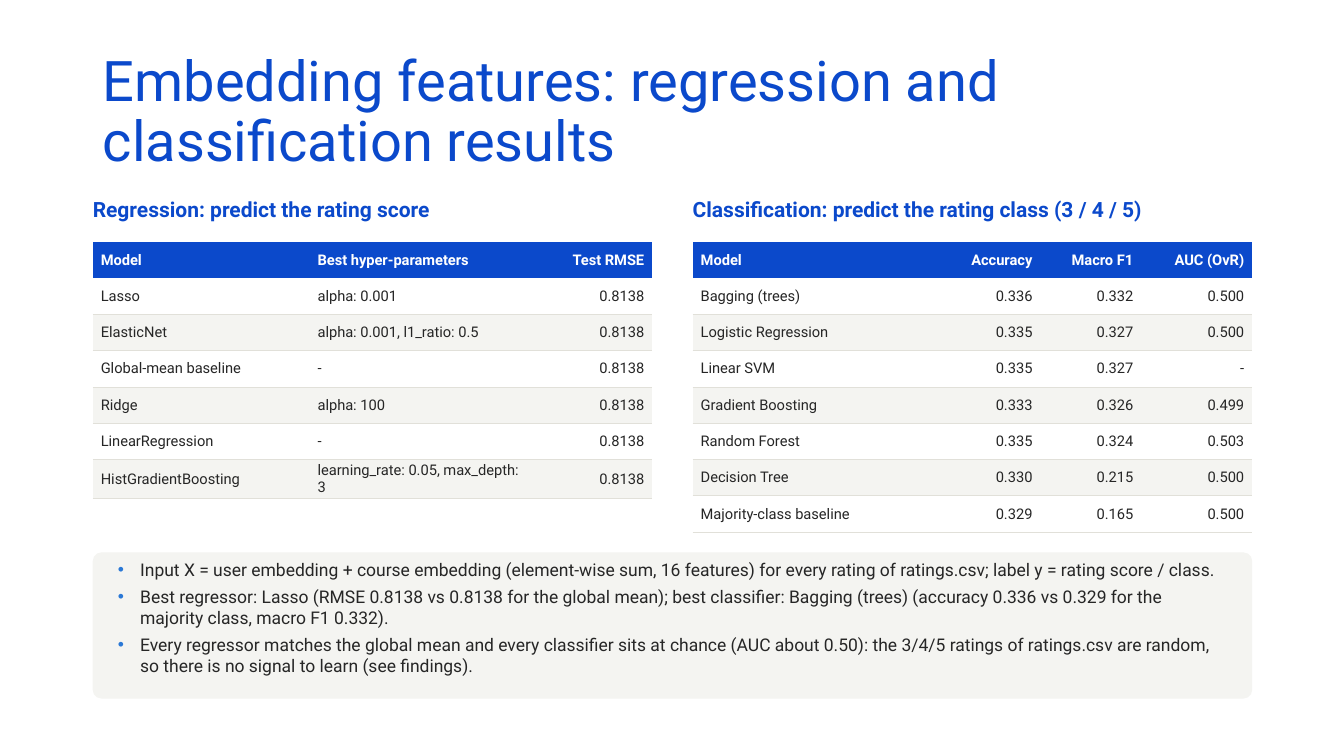
from lxml import etree
from pptx import Presentation
from pptx.dml.color import RGBColor
from pptx.enum import shapes, text
from pptx.oxml import ns
from pptx.util import Inches, Pt

COLORS = {
    "blue": "0B49CB",
    "bullet": "2A78D6",
    "ink": "262626",
    "white": "FFFFFF",
    "band": "F4F4F1",
    "rule": "E1E0D9",
}
FONT = "Roboto"
NO_STYLE = "{2D5ABB26-0587-4C30-8999-92F81FD0307C}"
ROW_H = 0.36
LEFT, RIGHT = text.PP_ALIGN.LEFT, text.PP_ALIGN.RIGHT

REGRESSION = [
    ("Model", "Best hyper-parameters", "Test RMSE"),
    ("Lasso", "alpha: 0.001", "0.8138"),
    ("ElasticNet", "alpha: 0.001, l1_ratio: 0.5", "0.8138"),
    ("Global-mean baseline", "-", "0.8138"),
    ("Ridge", "alpha: 100", "0.8138"),
    ("LinearRegression", "-", "0.8138"),
    ("HistGradientBoosting", "learning_rate: 0.05, max_depth: 3", "0.8138"),
]
CLASSIFICATION = [
    ("Model", "Accuracy", "Macro F1", "AUC (OvR)"),
    ("Bagging (trees)", "0.336", "0.332", "0.500"),
    ("Logistic Regression", "0.335", "0.327", "0.500"),
    ("Linear SVM", "0.335", "0.327", "-"),
    ("Gradient Boosting", "0.333", "0.326", "0.499"),
    ("Random Forest", "0.335", "0.324", "0.503"),
    ("Decision Tree", "0.330", "0.215", "0.500"),
    ("Majority-class baseline", "0.329", "0.165", "0.500"),
]
FINDINGS = [
    "Input X = user embedding + course embedding (element-wise sum, 16 features) for every rating "
    "of ratings.csv; label y = rating score / class.",
    "Best regressor: Lasso (RMSE 0.8138 vs 0.8138 for the global mean); best classifier: Bagging "
    "(trees) (accuracy 0.336 vs 0.329 for the majority class, macro F1 0.332).",
    "Every regressor matches the global mean and every classifier sits at chance (AUC about 0.50): "
    "the 3/4/5 ratings of ratings.csv are random, so there is no signal to learn (see findings).",
]


def rgb(name):
    return RGBColor.from_string(COLORS[name])


def set_all(target, **values):
    for name, value in values.items():
        setattr(target, name, value)


def set_margins(target, x, y):
    set_all(target, margin_left=Inches(x), margin_right=Inches(x),
            margin_top=Inches(y), margin_bottom=Inches(y))


def place(sp, x, y, w, h):
    set_all(sp, left=Inches(x), top=Inches(y), width=Inches(w), height=Inches(h))


def write(p, words, size, color, bold=False, **paragraph_format):
    set_all(p, **paragraph_format)
    r = p.add_run()
    r.text = words
    set_all(r.font, name=FONT, size=Pt(size), bold=bold)
    r.font.color.rgb = rgb(color)


def add_colored(parent, tag, color):
    node = etree.SubElement(parent, ns.qn(tag))
    etree.SubElement(node, ns.qn("a:srgbClr"), val=COLORS[color])


def add_bullet(p):
    pPr = p._p.get_or_add_pPr()
    pPr.set("marL", str(Inches(0.22)))
    pPr.set("indent", str(-Inches(0.22)))
    add_colored(pPr, "a:buClr", "bullet")
    etree.SubElement(pPr, ns.qn("a:buChar"), char="•")


def add_rule_below(cell):
    line = etree.Element(ns.qn("a:lnB"), w=str(Pt(0.75)))
    add_colored(line, "a:solidFill", "rule")
    cell._tc.get_or_add_tcPr().insert(0, line)


def add_title(s, x, y, w, h):
    sp = s.shapes.title
    place(sp, x, y, w, h)
    tf = sp.text_frame
    set_all(tf, word_wrap=True, auto_size=text.MSO_AUTO_SIZE.NONE,
            vertical_anchor=text.MSO_ANCHOR.MIDDLE)
    write(tf.paragraphs[0], "Embedding features: regression and classification results",
          40, "blue", alignment=LEFT, line_spacing=0.9)


def add_results(s, x, y, w, heading, rows, col_widths, first_right_col):
    sp = s.shapes.add_textbox(Inches(x), Inches(y), Inches(w), Inches(0.4))
    tf = sp.text_frame
    tf.word_wrap = True
    set_margins(tf, 0, 0)
    write(tf.paragraphs[0], heading, 15, "blue", bold=True)

    table = s.shapes.add_table(len(rows), len(col_widths), Inches(x), Inches(y + 0.45),
                               Inches(w), Inches(ROW_H * len(rows))).table
    set_all(table, first_row=False, horz_banding=False)
    table._tbl.tblPr.find(ns.qn("a:tableStyleId")).text = NO_STYLE
    for column, width in zip(table.columns, col_widths):
        column.width = Inches(width)
    for i, row in enumerate(rows):
        table.rows[i].height = Inches(ROW_H)
        header = i == 0
        fill = "blue" if header else "white" if i % 2 else "band"
        for j, words in enumerate(row):
            cell = table.cell(i, j)
            set_margins(cell, 0.08, 0.02)
            cell.vertical_anchor = text.MSO_ANCHOR.MIDDLE
            cell.fill.solid()
            cell.fill.fore_color.rgb = rgb(fill)
            if not header:
                add_rule_below(cell)
            write(cell.text_frame.paragraphs[0], words, 10.5, "white" if header else "ink",
                  bold=header, alignment=RIGHT if j >= first_right_col else LEFT)


def add_findings(s, x, y, w, h):
    panel = s.shapes.add_shape(shapes.MSO_SHAPE.ROUNDED_RECTANGLE,
                               Inches(x), Inches(y), Inches(w), Inches(h))
    panel.adjustments[0] = 0.06
    panel.shadow.inherit = False
    panel.fill.solid()
    panel.fill.fore_color.rgb = rgb("band")
    panel.line.fill.background()

    body = s.placeholders[1]
    place(body, x + 0.25, y + 0.07, w - 0.5, h - 0.1)
    s.shapes._spTree.append(body._element)
    tf = body.text_frame
    set_all(tf, word_wrap=True, auto_size=text.MSO_AUTO_SIZE.NONE,
            vertical_anchor=text.MSO_ANCHOR.TOP)
    set_margins(tf, 0, 0)
    for i, words in enumerate(FINDINGS):
        p = tf.add_paragraph() if i else tf.paragraphs[0]
        add_bullet(p)
        write(p, words, 12.5, "ink", space_before=Pt(0), space_after=Pt(4))


def main():
    prs = Presentation()
    set_all(prs, slide_width=Inches(13.33), slide_height=Inches(7.5))
    s = prs.slides.add_slide(prs.slide_layouts[1])
    margin, width, gap = 0.92, 11.5, 0.4
    half = (width - gap) / 2
    add_title(s, margin, 0.4, width, 1.45)
    add_results(s, margin, 1.95, half, "Regression: predict the rating score",
                REGRESSION, (2.15, 2.25, 1.15), 2)
    add_results(s, margin + half + gap, 1.95, half,
                "Classification: predict the rating class (3 / 4 / 5)",
                CLASSIFICATION, (2.45, 1, 1, 1.1), 1)
    add_findings(s, margin, 5.48, width, 1.45)
    prs.save("out.pptx")


if __name__ == "__main__":
    main()
